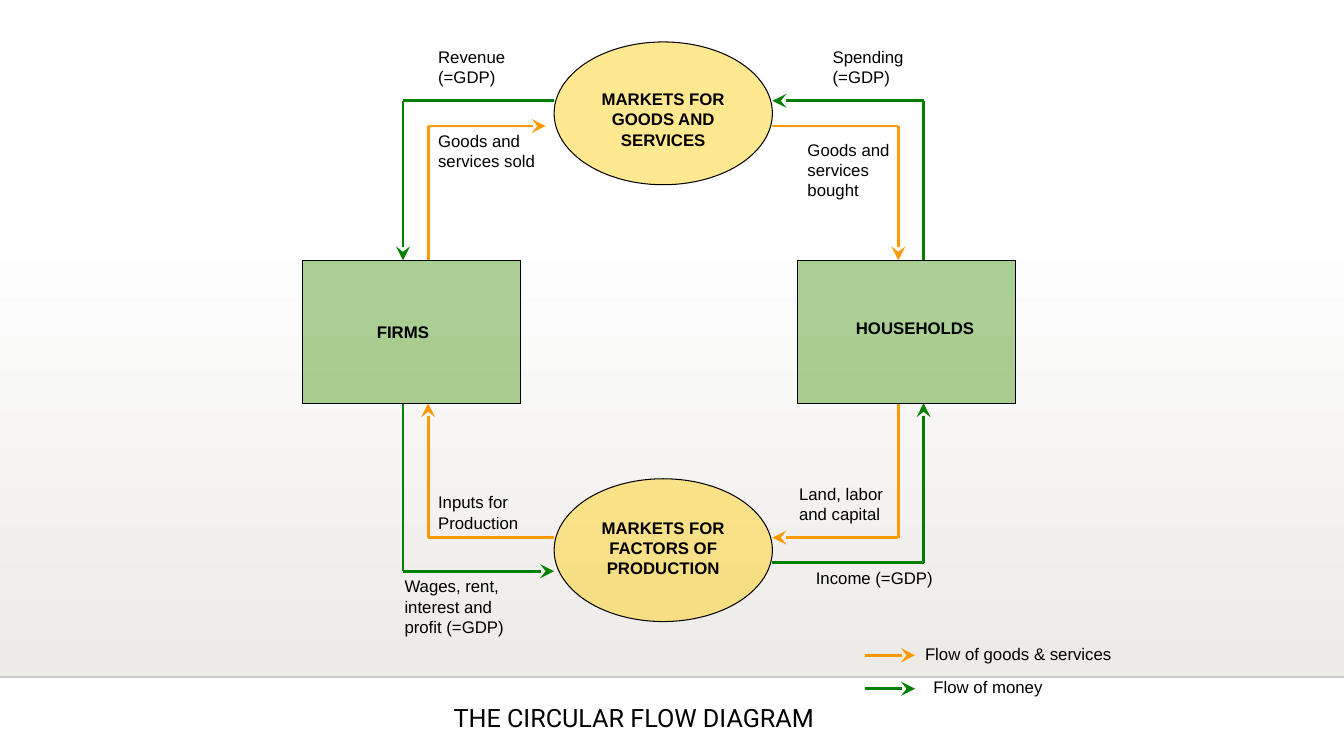
from dataclasses import dataclass

from lxml import etree
from pptx import Presentation
from pptx import util as u
from pptx.dml.color import RGBColor
from pptx.enum import shapes, text
from pptx.oxml.ns import qn

COLUMNS_PER_INCH = 12
FONT = "Arial"
TITLE_FONT = "Roboto"
BLACK = RGBColor(0x00, 0x00, 0x00)
WHITE = RGBColor(0xFF, 0xFF, 0xFF)
SAND = RGBColor(0xED, 0xEB, 0xE7)
RULE_GREY = RGBColor(0xCB, 0xCA, 0xC7)
MONEY = RGBColor(0x00, 0x80, 0x00)
GOODS = RGBColor(0xFF, 0x99, 0x00)
MARKET_YELLOW = RGBColor(0xFF, 0xCC, 0x00)
AGENT_GREEN = RGBColor(0x5F, 0xA5, 0x34)

Point = tuple[float, float]


@dataclass(frozen=True)
class Flow:
    """An arrow through grid points, with its head at the last one."""
    color: RGBColor
    points: tuple[Point, ...]


@dataclass(frozen=True)
class Node:
    kind: shapes.MSO_SHAPE
    color: RGBColor
    opacity: int
    left: float
    top: float


@dataclass(frozen=True)
class Label:
    words: str
    left: float
    top: float
    width: float
    lines: int = 1
    bold: bool = False


NODE_WIDTH, NODE_HEIGHT = 26, 17

FLOWS = (
    Flow(MONEY, ((66, 12), (48, 12), (48, 31))),
    Flow(GOODS, ((51, 31), (51, 15), (65, 15))),
    Flow(MONEY, ((110, 31), (110, 12), (92, 12))),
    Flow(GOODS, ((92, 15), (107, 15), (107, 31))),
    Flow(GOODS, ((66, 64), (51, 64), (51, 48))),
    Flow(MONEY, ((48, 48), (48, 68), (66, 68))),
    Flow(GOODS, ((107, 48), (107, 64), (92, 64))),
    Flow(MONEY, ((92, 67), (110, 67), (110, 48))),
    Flow(GOODS, ((103, 78), (109, 78))),
    Flow(MONEY, ((103, 82), (109, 82))),
)

NODES = (
    Node(shapes.MSO_SHAPE.OVAL, MARKET_YELLOW, 44, 66, 5),
    Node(shapes.MSO_SHAPE.OVAL, MARKET_YELLOW, 44, 66, 57),
    Node(shapes.MSO_SHAPE.RECTANGLE, AGENT_GREEN, 52, 36, 31),
    Node(shapes.MSO_SHAPE.RECTANGLE, AGENT_GREEN, 52, 95, 31),
)

LABELS = (
    Label("MARKETS FOR GOODS AND SERVICES", 70, 10, 18, 3, bold=True),
    Label("MARKETS FOR FACTORS OF PRODUCTION", 70, 61, 18, 3, bold=True),
    Label("FIRMS", 41, 37.7, 14, bold=True),
    Label("HOUSEHOLDS", 98, 37.2, 22, bold=True),
    Label("Revenue (=GDP)", 51, 5, 14, 2),
    Label("Goods and services sold", 51, 15, 14, 2),
    Label("Spending (=GDP)", 98, 5, 14, 2),
    Label("Goods and services bought", 95, 16, 15, 3),
    Label("Inputs for Production", 51, 58, 14, 2),
    Label("Wages, rent, interest and profit (=GDP)", 47, 68, 16, 3),
    Label("Land, labor and capital", 94, 57, 14, 2),
    Label("Income (=GDP)", 96, 67, 18),
    Label("Flow of goods & services", 109, 76, 29),
    Label("Flow of money", 110, 80, 28),
)


def grid(*cells: float) -> list[int]:
    return [u.Inches(cell / COLUMNS_PER_INCH) for cell in cells]


def add_line(page, start: Point, end: Point, color: RGBColor, points: float,
             arrow: bool = False) -> None:
    line = page.shapes.add_connector(
        shapes.MSO_CONNECTOR.STRAIGHT, *grid(*start, *end))
    line.line.color.rgb = color
    line.line.width = u.Pt(points)
    properties = line._element.spPr
    if arrow:
        etree.SubElement(properties.find(qn("a:ln")), qn("a:tailEnd"),
                         type="stealth", w="lg", len="lg")
    etree.SubElement(properties, qn("a:effectLst"))


def add_background(page) -> None:
    band = page.shapes.add_shape(
        shapes.MSO_SHAPE.RECTANGLE, *grid(0, 26.4, 160.08, 54.2))
    band.shadow.inherit = False
    band.line.fill.background()
    band.fill.gradient()
    band.fill.gradient_angle = 270
    for stop, color in zip(band.fill.gradient_stops, (WHITE, SAND)):
        stop.color.rgb = color
    add_line(page, (0, 80.6), (160.08, 80.6), RULE_GREY, 1)


def add_flow(page, flow: Flow) -> None:
    last = flow.points[-1]
    for start, end in zip(flow.points, flow.points[1:]):
        add_line(page, start, end, flow.color, 2, arrow=end == last)


def add_node(page, node: Node) -> None:
    shape = page.shapes.add_shape(
        node.kind, *grid(node.left, node.top, NODE_WIDTH, NODE_HEIGHT))
    shape.shadow.inherit = False
    shape.fill.solid()
    shape.fill.fore_color.rgb = node.color
    color = shape._element.spPr.find(qn("a:solidFill"))[0]
    etree.SubElement(color, qn("a:alpha"), val=str(node.opacity * 1000))
    shape.line.color.rgb = BLACK
    shape.line.width = u.Pt(0.75)


def write(box, words: str, font: str, size: float, bold: bool, centred: bool) -> None:
    box.text_frame.word_wrap = True
    para = box.text_frame.paragraphs[0]
    para.alignment = text.PP_ALIGN.CENTER if centred else text.PP_ALIGN.LEFT
    span = para.add_run()
    span.text = words
    span.font.name = font
    span.font.size = u.Pt(size)
    span.font.bold = bold
    span.font.color.rgb = BLACK


def add_label(page, label: Label) -> None:
    height = 1.2 + 2.4 * label.lines
    box = page.shapes.add_textbox(
        *grid(label.left, label.top, label.width, height))
    write(box, label.words, FONT, 12, label.bold, centred=label.bold)


def set_title(page) -> None:
    title = page.shapes.title
    title.left, title.top, title.width, title.height = grid(49, 83, 53, 4.8)
    title.text_frame.auto_size = text.MSO_AUTO_SIZE.NONE
    title.text_frame.vertical_anchor = text.MSO_ANCHOR.TOP
    write(title, "THE CIRCULAR FLOW DIAGRAM", TITLE_FONT, 18, False, centred=True)


def main() -> None:
    deck = Presentation()
    deck.slide_width, deck.slide_height = u.Inches(13.34), u.Inches(7.5)
    page = deck.slides.add_slide(deck.slide_layouts.get_by_name("Title Only"))
    add_background(page)
    for flow in FLOWS:
        add_flow(page, flow)
    for node in NODES:
        add_node(page, node)
    for label in LABELS:
        add_label(page, label)
    set_title(page)
    deck.save("out.pptx")


if __name__ == "__main__":
    main()
